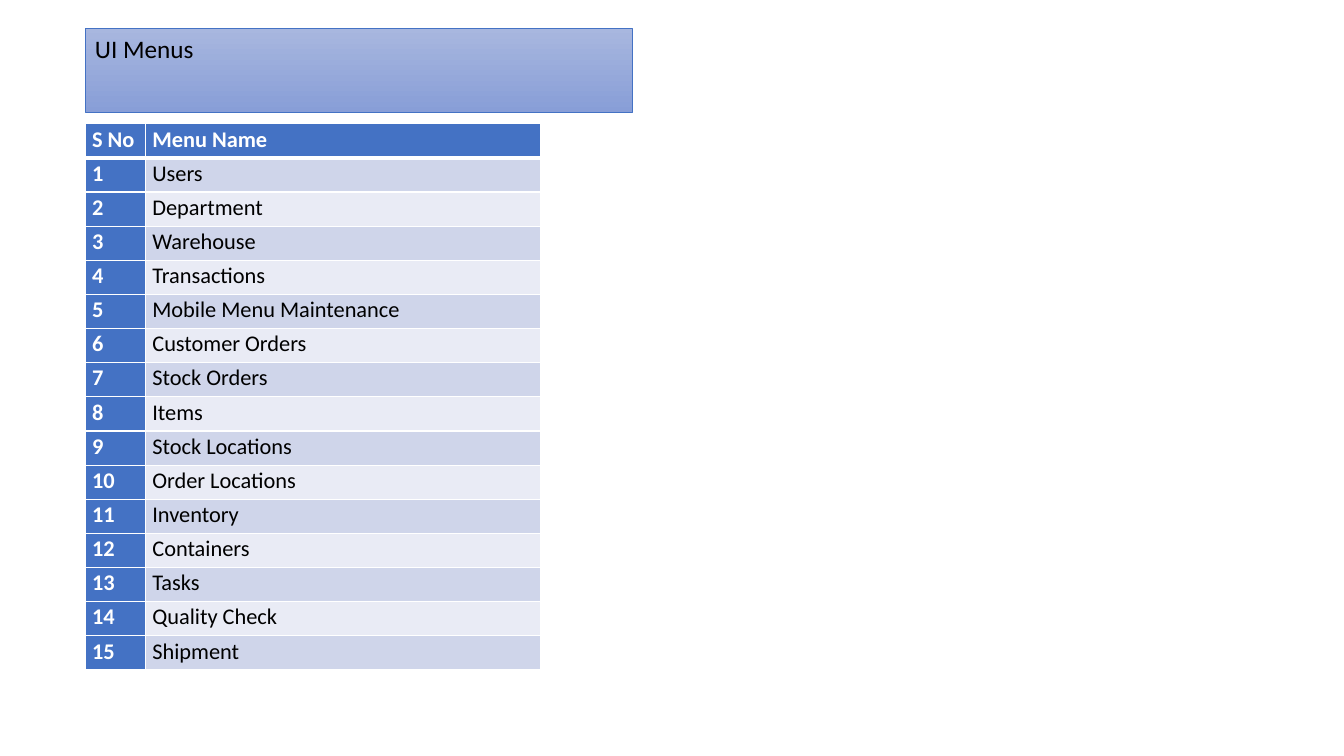
import pptx
import pptx.dml.color
import pptx.enum.text
import pptx.oxml
import pptx.oxml.ns
import pptx.util

Cm = pptx.util.Cm
Pt = pptx.util.Pt

MENUS = [
    "Users", "Department", "Warehouse", "Transactions",
    "Mobile Menu Maintenance", "Customer Orders", "Stock Orders", "Items",
    "Stock Locations", "Order Locations", "Inventory", "Containers",
    "Tasks", "Quality Check", "Shipment",
]


def color(value):
    """Turn a hex string into a colour."""
    return pptx.dml.color.RGBColor.from_string(value)


def apply(target, values):
    """Set every attribute named in a dict of format values."""
    for name, value in values.items():
        setattr(target, name, value)


class MenuSlide:
    """Holds the style and the current slide."""

    font = "Calibri"
    accent, white, black = "4472C4", "FFFFFF", "000000"
    bands = ("CFD5EA", "E9EBF5")
    title_gradient = ("A8B7DF", "889ED7")

    def __init__(self, deck):
        """Add a title-only slide to the deck."""
        self.slide = deck.slides.add_slide(deck.slide_layouts[5])

    def add_text(self, frame, text, size, ink, bold=False, **spacing):
        """Put one formatted paragraph into a text frame."""
        para = frame.paragraphs[0]
        apply(para, {"alignment": pptx.enum.text.PP_ALIGN.LEFT, **spacing})
        span = para.add_run()
        span.text = text
        apply(span.font, {"name": self.font, "size": Pt(size), "bold": bold})
        span.font.color.rgb = color(ink)

    def title(self, text, left, top, width, height):
        """Move and format the title as a gradient bar."""
        box = self.slide.shapes.title
        apply(box, {"left": Cm(left), "top": Cm(top),
                    "width": Cm(width), "height": Cm(height)})
        box.fill.gradient()
        box.fill.gradient_angle = 270
        for stop, shade in zip(box.fill.gradient_stops, self.title_gradient):
            stop.color.rgb = color(shade)
        box.line.color.rgb = color(self.accent)
        box.line.width = Pt(0.5)
        self.add_text(box.text_frame, text, 18, self.black)
        apply(box.text_frame, {
            "word_wrap": True,
            "auto_size": pptx.enum.text.MSO_AUTO_SIZE.SHAPE_TO_FIT_TEXT,
            "vertical_anchor": pptx.enum.text.MSO_ANCHOR.TOP,
        })

    def borders(self, cell, widths):
        """Draw white cell borders, with widths in points by side."""
        properties = cell._tc.get_or_add_tcPr()
        for place, (side, width) in enumerate(widths.items()):
            properties.insert(place, pptx.oxml.parse_xml(
                f'<a:ln{side} {pptx.oxml.ns.nsdecls("a")} w="{Pt(width)}">'
                f'<a:solidFill><a:srgbClr val="{self.white}"/></a:solidFill>'
                f'</a:ln{side}>'))

    def cell(self, cell, text, row, column):
        """Fill and border one table cell and add its text."""
        heading = row == 0 or column == 0
        cell.fill.solid()
        cell.fill.fore_color.rgb = color(
            self.accent if heading else self.bands[(row - 1) % 2])
        self.borders(cell, {"L": 1, "R": 1, "T": 3 if row == 1 else 1,
                            "B": 3 if row == 0 else 1})
        apply(cell, {"margin_left": Cm(0.18), "margin_right": Cm(0.18),
                     "margin_top": 0, "margin_bottom": 0})
        self.add_text(cell.text_frame, text, 16,
                      self.white if heading else self.black, heading,
                      line_spacing=1.07, space_after=Pt(8))

    def table(self, rows, left, top, widths, row_height):
        """Add a table with a heading row and a heading column."""
        table = self.slide.shapes.add_table(
            len(rows), len(widths), Cm(left), Cm(top),
            Cm(sum(widths)), Cm(row_height * len(rows))).table
        table.first_col = True
        for column, width in zip(table.columns, widths):
            column.width = Cm(width)
        for row, texts in enumerate(rows):
            table.rows[row].height = Cm(row_height)
            for column, text in enumerate(texts):
                self.cell(table.cell(row, column), text, row, column)


deck = pptx.Presentation()
apply(deck, {"slide_width": Cm(33.87), "slide_height": Cm(19.05)})
page = MenuSlide(deck)
page.title("UI Menus", 2.14, 0.71, 13.79, 1.03)
menu_rows = [("S No", "Menu Name")]
menu_rows += [(str(number), name) for number, name in enumerate(MENUS, 1)]
page.table(menu_rows, 2.14, 3.12, (1.52, 9.97), 0.86)
deck.save("out.pptx")
